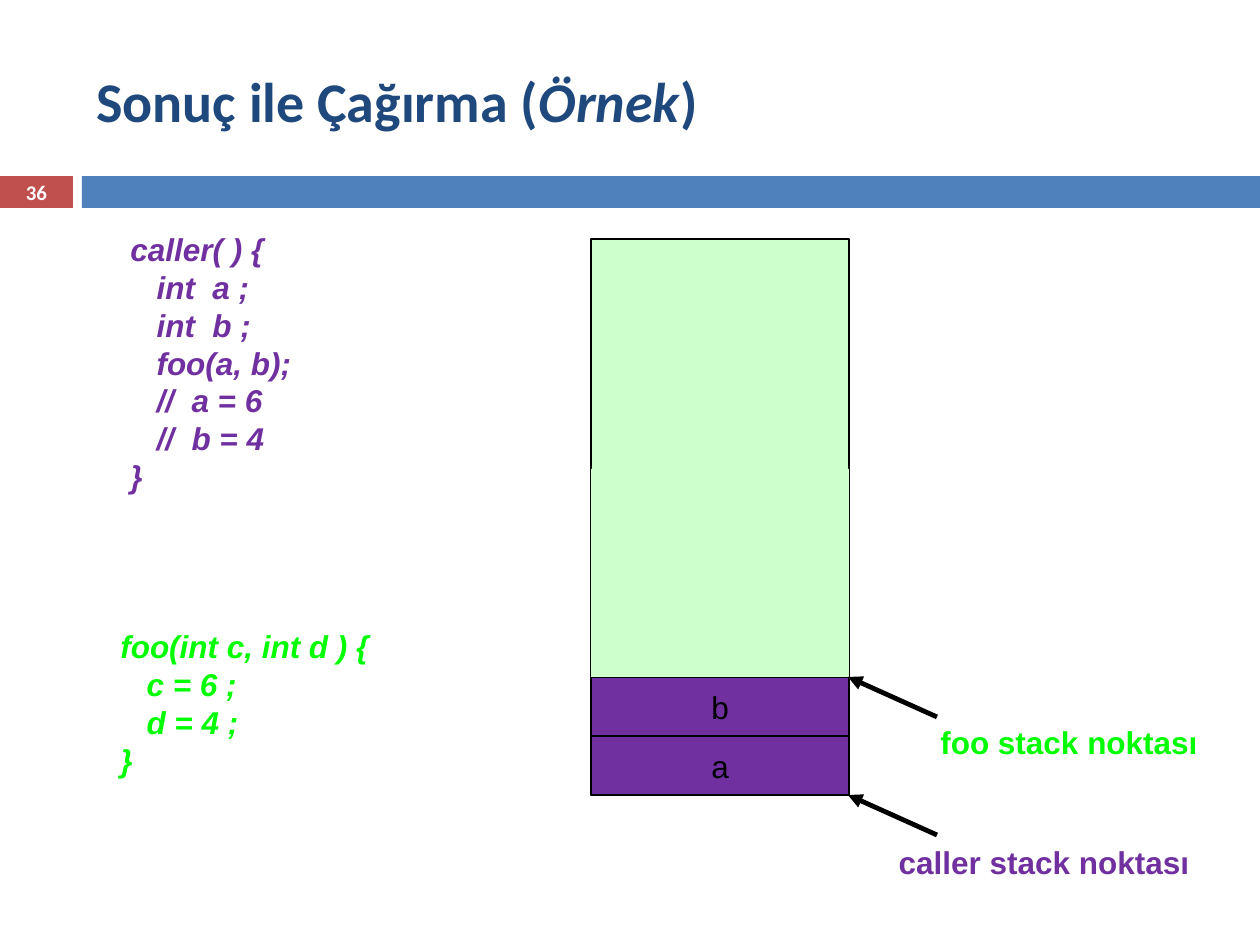
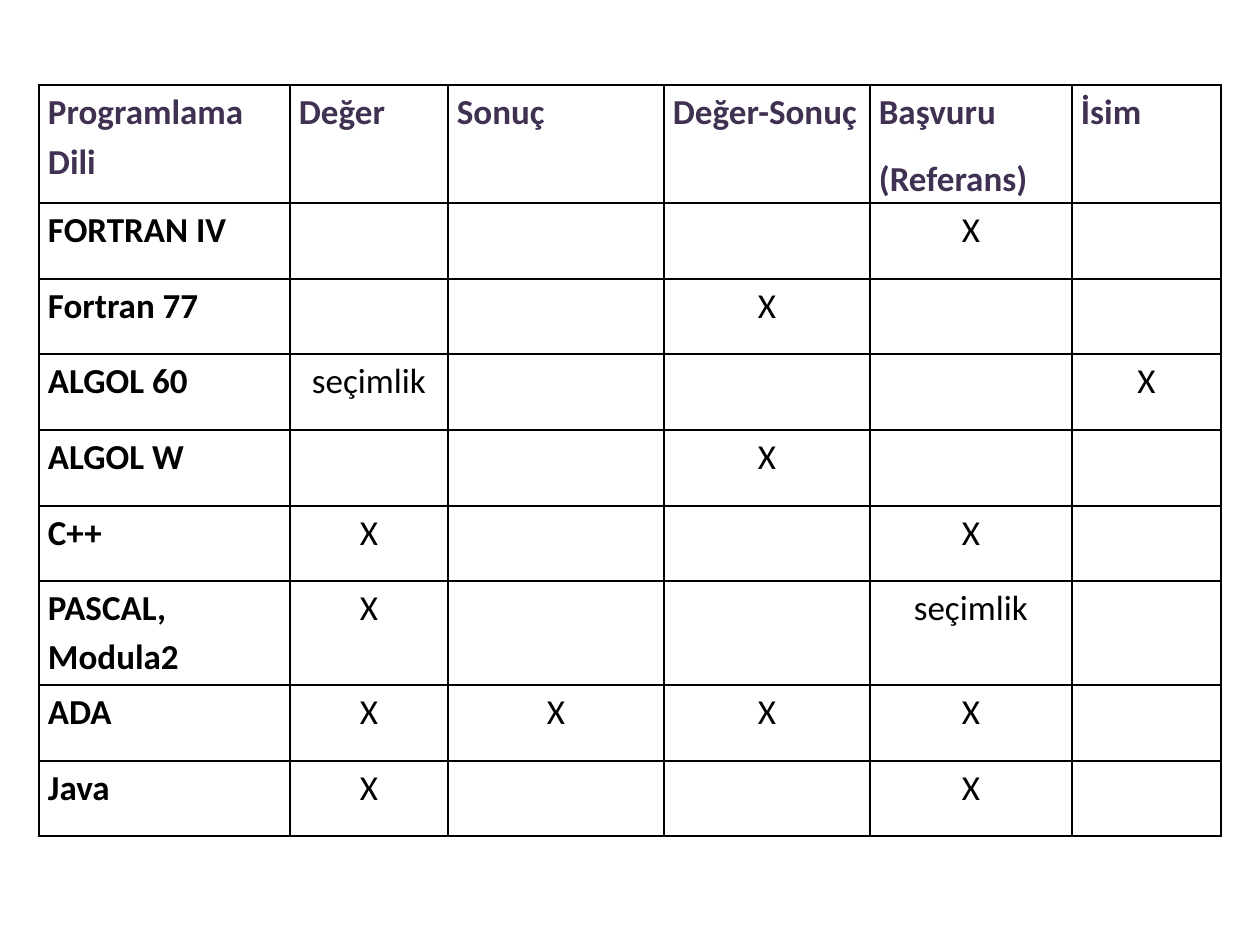
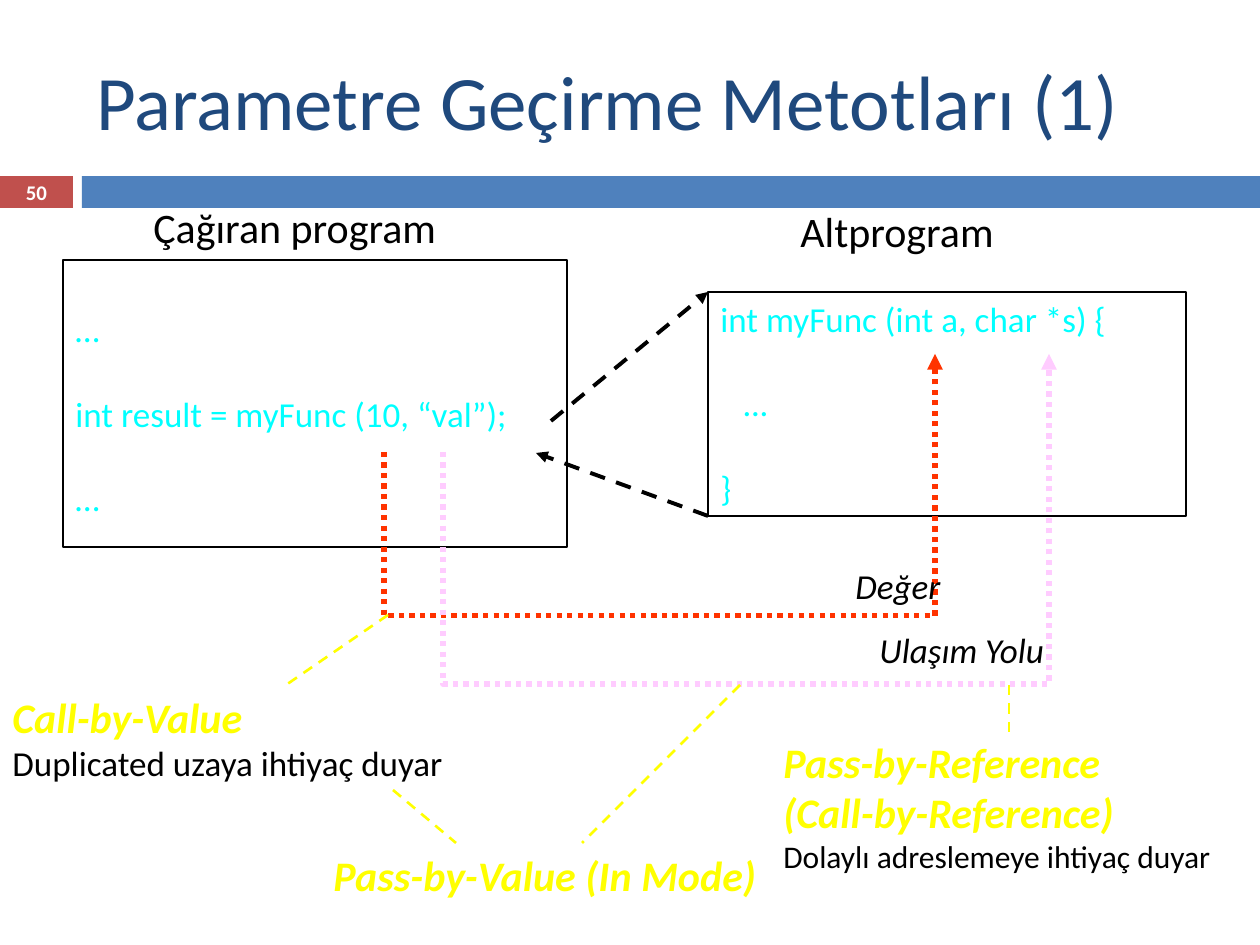
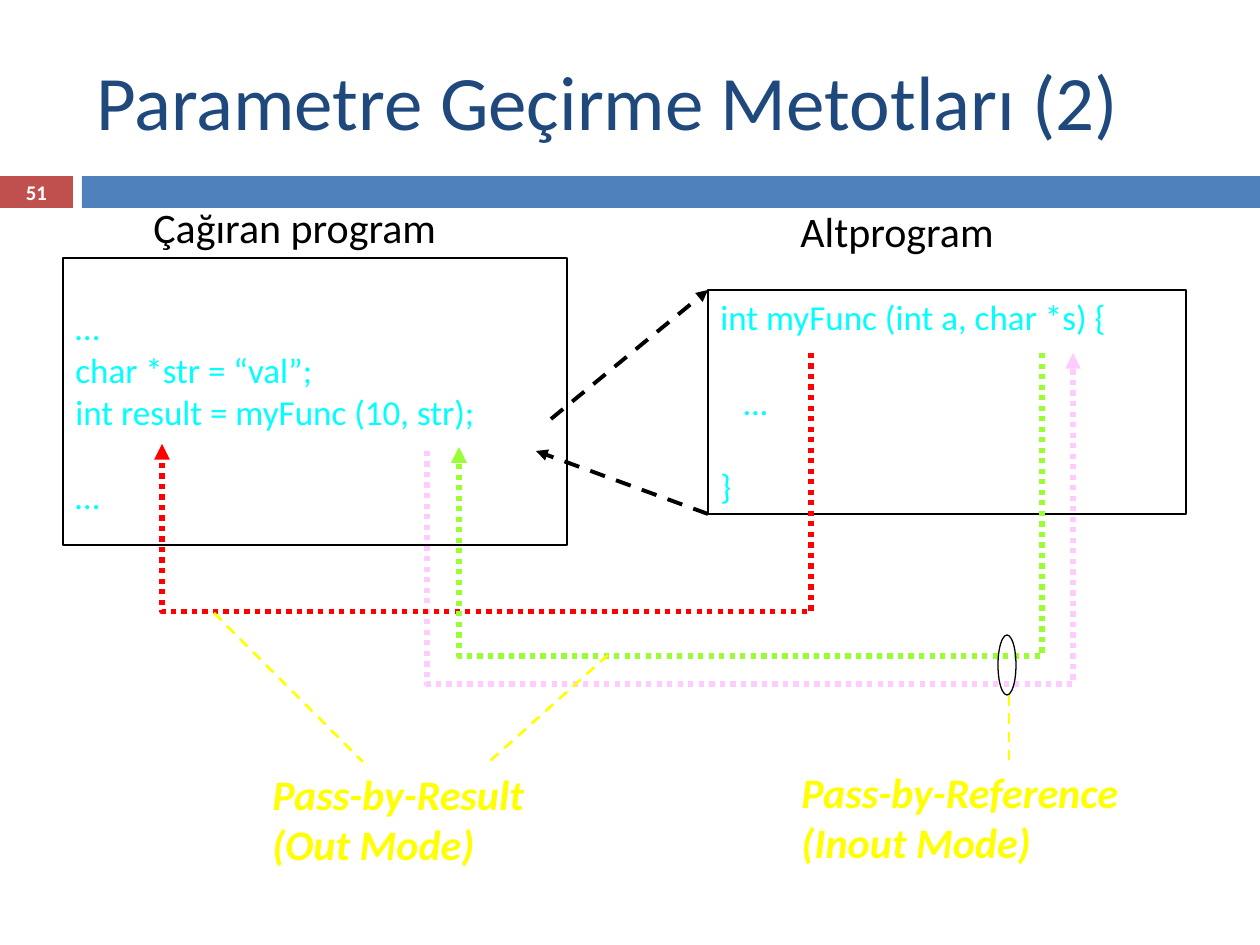
from dataclasses import dataclass, replace

from lxml import etree
from pptx import Presentation
from pptx import util as u
from pptx.dml.color import RGBColor
from pptx.enum import dml, shapes, text
from pptx.oxml import ns

PX = u.Inches(1) / 126  # EMU in one px


def px(length):
    return u.Emu(round(length * PX))


# ---------- theme ----------
@dataclass(frozen=True)
class Type:
    size: float
    colour: str
    bold: bool = False
    italic: bool = False
    font: str = "Calibri"


@dataclass(frozen=True)
class Theme:
    black: str = "000000"
    white: str = "FFFFFF"
    badge: str = "C0504D"
    band: str = "4F81BD"
    stack: str = "CCFFCC"
    caller: str = "7030A0"
    orange: str = "FF3300"
    red: str = "FF0000"
    pink: str = "FFCCFF"
    lime: str = "99FF33"
    yellow: str = "FFFF00"
    title: Type = Type(44, "1F497D")
    number: Type = Type(11.9, "FFFFFF", bold=True)
    heading: Type = Type(24, "000000")
    code: Type = Type(20, "00FFFF")
    body: Type = Type(20, "000000")
    small: Type = Type(18, "000000")
    mode: Type = Type(24, "FFFF00", bold=True, italic=True)
    column: Type = Type(20, "403152", bold=True)
    cell: Type = Type(18, "000000", font="Arial")
    caller_label: Type = Type(18, "7030A0", bold=True, font="Arial")
    foo_label: Type = Type(18, "00FF00", bold=True, font="Arial")
    code_line: int = 24  # points taken by one line of code
    inset: int = 6


T = Theme()
CENTRE = text.PP_ALIGN.CENTER
LEFT = text.PP_ALIGN.LEFT
MIDDLE = text.MSO_ANCHOR.MIDDLE
TOP = text.MSO_ANCHOR.TOP
DASH = dml.MSO_LINE.DASH
DOT = dml.MSO_LINE.ROUND_DOT


# ---------- text ----------
@dataclass(frozen=True)
class Line:
    """A paragraph: (text, type) runs, with a gap in points above it."""
    runs: tuple
    gap: float = 0


def line(words, kind, gap=0):
    return Line(((words, kind),), gap)


def lines(kind, *all_words):
    return [line(words, kind) for words in all_words]


def write(frame, paragraphs, align=LEFT):
    for index, content in enumerate(paragraphs):
        paragraph = frame.paragraphs[0] if index == 0 else frame.add_paragraph()
        paragraph.alignment = align
        if content.gap:
            paragraph.space_before = u.Pt(content.gap)
        for words, kind in content.runs:
            run = paragraph.add_run()
            run.text = words
            run.font.name = kind.font
            run.font.size = u.Pt(kind.size)
            run.font.bold = kind.bold
            run.font.italic = kind.italic
            run.font.color.rgb = RGBColor.from_string(kind.colour)


def label(slide, box, paragraphs, align=LEFT, anchor=TOP):
    frame = slide.shapes.add_textbox(*map(px, box)).text_frame
    frame.word_wrap = True
    frame.vertical_anchor = anchor
    write(frame, paragraphs, align)


# ---------- shapes and lines ----------
def block(slide, box, fill=None, outline=None, kind=shapes.MSO_SHAPE.RECTANGLE):
    shape = slide.shapes.add_shape(kind, *map(px, box))
    shape.shadow.inherit = False
    if fill:
        shape.fill.solid()
        shape.fill.fore_color.rgb = RGBColor.from_string(fill)
    else:
        shape.fill.background()
    if outline:
        shape.line.color.rgb = RGBColor.from_string(outline)
        shape.line.width = u.Pt(0.75)
    else:
        shape.line.fill.background()
    return shape


def centred_block(slide, box, fill, words, kind, outline=None):
    frame = block(slide, box, fill, outline).text_frame
    frame.word_wrap = False
    frame.vertical_anchor = MIDDLE
    write(frame, lines(kind, words), CENTRE)


def code_block(slide, box, paragraphs, blank_lines=0):
    frame = block(slide, box, outline=T.black).text_frame
    frame.word_wrap = True
    frame.vertical_anchor = TOP
    frame.margin_top = px(T.inset) + u.Pt(blank_lines * T.code_line)
    write(frame, paragraphs)


def connect(slide, kind, start, end, colour, width, dash=None, arrow=False):
    link = slide.shapes.add_connector(kind, *map(px, start + end))
    link.line.color.rgb = RGBColor.from_string(colour)
    link.line.width = u.Pt(width)
    if dash:
        link.line.dash_style = dash
    properties = link._element.spPr
    if arrow:
        tail = etree.SubElement(properties.find(ns.qn("a:ln")), ns.qn("a:tailEnd"))
        tail.set("type", "triangle")
    etree.SubElement(properties, ns.qn("a:effectLst"))
    return link


def straight(slide, start, end, colour, width, dash=None, arrow=False):
    connect(slide, shapes.MSO_CONNECTOR.STRAIGHT, start, end, colour, width, dash, arrow)


def pointer(slide, start, end):
    straight(slide, start, end, T.yellow, 1.5, DASH)


def data_route(slide, start, end, floor, colour):
    """Dotted arrow that drops to floor, runs across and rises to end."""
    (x1, y1), (x2, y2) = start, end
    mid_x, mid_y = (x1 + x2) / 2, (y1 + y2) / 2
    half_dx, half_dy = (x2 - x1) / 2, (y2 - y1) / 2
    # The elbow is laid on its side, then turned a quarter about its centre
    link = connect(slide, shapes.MSO_CONNECTOR.ELBOW,
                   (mid_x - half_dy, mid_y + half_dx),
                   (mid_x + half_dy, mid_y - half_dx), colour, 3, DOT, True)
    properties = link._element.spPr
    properties.find(ns.qn("a:xfrm")).set("rot", "5400000")
    bend = etree.SubElement(properties.find(".//" + ns.qn("a:avLst")), ns.qn("a:gd"))
    bend.set("name", "adj1")
    bend.set("fmla", f"val {round((floor - y1) / (y2 - y1) * 100000)}")


# ---------- slide frame ----------
def titled_slide(deck, number, *title_runs):
    slide = blank_slide(deck)
    centred_block(slide, (0, 176, 73, 32), T.badge, number, T.number)
    block(slide, (82, 176, 1178, 32), T.band)
    label(slide, (84, 32, 1124, 136), [Line(title_runs)], anchor=MIDDLE)
    return slide


def blank_slide(deck):
    return deck.slides.add_slide(deck.slide_layouts[6])


# ---------- table ----------
def border(cell):
    properties = cell._tc.get_or_add_tcPr()
    for side in ("lnL", "lnR", "lnT", "lnB"):
        edge = etree.SubElement(properties, ns.qn("a:" + side), w=str(u.Pt(1)))
        fill = etree.SubElement(edge, ns.qn("a:solidFill"))
        etree.SubElement(fill, ns.qn("a:srgbClr"), val=T.black)


def language_table(slide, rows, column_edges, row_edges):
    left, top = column_edges[0], row_edges[0]
    size = column_edges[-1] - left, row_edges[-1] - top
    grid = slide.shapes.add_table(len(rows), len(rows[0]),
                                  *map(px, (left, top) + size)).table
    grid.first_row = grid.horz_banding = False
    for column, start, end in zip(grid.columns, column_edges, column_edges[1:]):
        column.width = px(end - start)
    for row, start, end in zip(grid.rows, row_edges, row_edges[1:]):
        row.height = px(end - start)
    for r, row in enumerate(rows):
        for c, words in enumerate(row):
            cell = grid.cell(r, c)
            border(cell)
            cell.fill.solid()
            cell.fill.fore_color.rgb = RGBColor.from_string(T.white)
            cell.margin_left = cell.margin_right = px(9)
            cell.margin_top = cell.margin_bottom = 0
            if not words:
                continue
            kind = T.column if r == 0 else replace(T.body, bold=c == 0)
            align = text.PP_ALIGN.JUSTIFY if r == 0 or c == 0 else CENTRE
            write(cell.text_frame, lines(kind, *words.split("\n")), align)
            for paragraph in cell.text_frame.paragraphs:
                paragraph.line_spacing = 1.15
                paragraph.space_after = u.Pt(10)


# ---------- call diagram ----------
def call_diagram(slide, top, caller_lines):
    """Calling program and subprogram, with the call and return arrows."""
    label(slide, (141, 195, 315, 63), lines(T.heading, "Çağıran program"))
    label(slide, (788, 199, 315, 63), lines(T.heading, "Altprogram"))
    code_block(slide, (708, top + 32, 478, 224), [
        line("int myFunc (int a, char *s) {", T.code),
        line("   …", replace(T.code, italic=True), T.code_line),
        line("}", T.code, T.code_line)])
    code_block(slide, (63, top, 504, 287), caller_lines, blank_lines=1)
    for start, end in (((551, top + 161), (708, top + 32)),
                       ((708, top + 256), (536, top + 193))):
        straight(slide, start, end, T.black, 2.25, DASH, True)


# ---------- slides ----------
def call_by_result(deck):
    title = replace(T.title, size=32, bold=True)
    slide = titled_slide(deck, "36", ("Sonuç ile Çağırma (", title),
                         ("Örnek", replace(title, italic=True)), (")", title))
    # Stack, with the two variables of the caller at its foot
    left, width, slot, foot = 591, 258, 59, 795
    block(slide, (left, 239, width, foot - 239), T.stack, T.black)
    for level, variable in enumerate("ab", 1):
        centred_block(slide, (left, foot - level * slot, width, slot),
                      T.caller, variable, T.cell, T.black)
    block(slide, (left, 469, width, 208), T.stack)
    # Stack points
    for tip in (foot, foot - 2 * slot):
        straight(slide, (937, tip + 40), (848, tip), T.black, 2.75, arrow=True)
    label(slide, (868, 837, 352, 50), lines(T.caller_label, "caller stack noktası"), CENTRE)
    label(slide, (878, 717, 382, 50), lines(T.foo_label, "foo stack noktası"), CENTRE)
    # Code
    label(slide, (118, 224, 326, 318), lines(
        replace(T.caller_label, italic=True), "caller( ) {", "   int  a ;", "   int  b ;",
        "   foo(a, b);", "   //  a = 6", "   //  b = 4", "}"))
    label(slide, (108, 621, 367, 204), lines(
        replace(T.foo_label, italic=True), "foo(int c, int d ) {", "   c = 6 ;",
        "   d = 4 ;", "}"))


def languages(deck):
    rows = (
        ("Programlama Dili", "Değer", "Sonuç", "Değer-Sonuç", "Başvuru\n(Referans)", "İsim"),
        ("FORTRAN IV", "", "", "", "X", ""),
        ("Fortran 77", "", "", "X", "", ""),
        ("ALGOL 60", "seçimlik", "", "", "", "X"),
        ("ALGOL W", "", "", "X", "", ""),
        ("C++", "X", "", "", "X", ""),
        ("PASCAL, Modula2", "X", "", "", "seçimlik", ""),
        ("ADA", "X", "X", "X", "X", ""),
        ("Java", "X", "", "", "X", ""),
    )
    language_table(blank_slide(deck), rows,
                   (39, 290, 448, 664, 870, 1072, 1221),
                   (85, 203, 279, 354, 430, 506, 581, 685, 761, 836))


def passing_in(deck):
    slide = titled_slide(deck, "50", ("Parametre Geçirme Metotları (1)", T.title))
    call_diagram(slide, 260, [
        line("…", T.code),
        line("int result = myFunc (10, “val”);", T.code, T.code_line),
        line("…", T.code, T.code_line)])
    data_route(slide, (384, 452), (935, 354), 616, T.orange)
    data_route(slide, (443, 452), (1049, 354), 684, T.pink)
    # Call by value
    label(slide, (0, 685, 456, 106), [
        line("Call-by-Value", T.mode), line("Duplicated uzaya ihtiyaç duyar", T.body)])
    pointer(slide, (388, 615), (286, 685))
    # Pass by reference
    label(slide, (771, 730, 456, 152), [
        *lines(T.mode, "Pass-by-Reference", "(Call-by-Reference)"),
        line("Dolaylı adreslemeye ihtiyaç duyar", T.small)])
    pointer(slide, (1009, 685), (1009, 733))
    # Pass by value
    label(slide, (321, 843, 634, 63), lines(T.mode, "Pass-by-Value (In Mode)"))
    pointer(slide, (393, 790), (456, 843))
    pointer(slide, (740, 685), (582, 843))
    # Route names
    route_name = replace(T.body, italic=True)
    label(slide, (843, 558, 126, 54), lines(route_name, "Değer"))
    label(slide, (867, 622, 220, 54), lines(route_name, "Ulaşım Yolu"))


def passing_out(deck):
    slide = titled_slide(deck, "51", ("Parametre Geçirme Metotları (2)", T.title))
    call_diagram(slide, 258, [
        *lines(T.code, "…", "char *str = “val”;", "int result = myFunc (10, str);"),
        line("…", T.code, T.code_line)])
    data_route(slide, (427, 451), (1073, 353), 684, T.pink)
    data_route(slide, (811, 353), (162, 444), 612, T.red)
    data_route(slide, (1042, 353), (459, 447), 656, T.lime)
    # Pass by result
    label(slide, (260, 762, 330, 115), lines(T.mode, "Pass-by-Result (Out Mode)"))
    pointer(slide, (214, 613), (363, 762))
    pointer(slide, (608, 655), (489, 762))
    # Pass by reference
    label(slide, (789, 760, 441, 115), lines(T.mode, "Pass-by-Reference (Inout Mode)"))
    pointer(slide, (1009, 695), (1009, 760))
    block(slide, (998, 635, 18, 60), outline=T.black, kind=shapes.MSO_SHAPE.OVAL)


def main():
    deck = Presentation()
    deck.slide_width, deck.slide_height = px(1260), px(945)
    for build in (call_by_result, languages, passing_in, passing_out):
        build(deck)
    deck.save("out.pptx")


if __name__ == "__main__":
    main()
